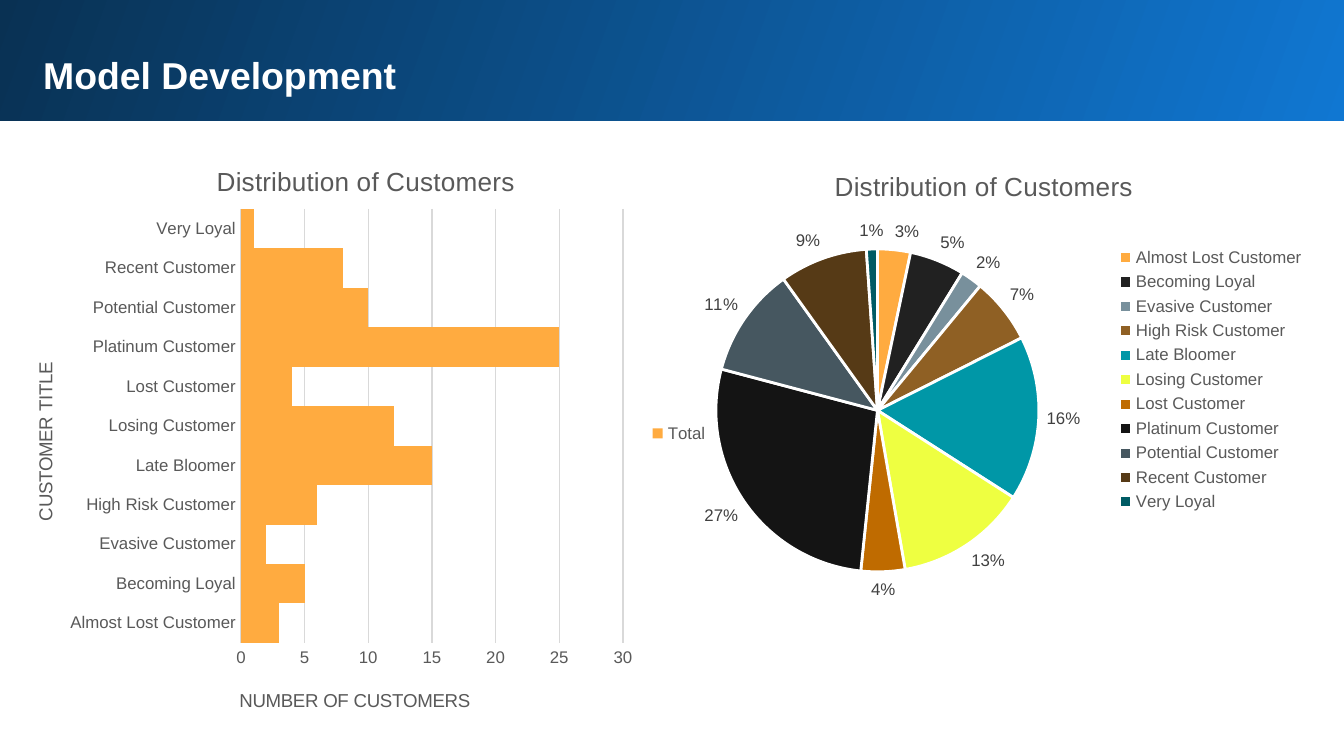
import pptx
import pptx.util
import pptx.chart.data
import pptx.dml.color
import pptx.enum.chart
import pptx.enum.shapes
import pptx.oxml
import pptx.oxml.ns

RGBColor = pptx.dml.color.RGBColor
Pt = pptx.util.Pt
qn = pptx.oxml.ns.qn

# Content
TITLE = "Model Development"
CHART_TITLE = "Distribution of Customers"
CATEGORY_TITLE = "CUSTOMER TITLE"
VALUE_TITLE = "NUMBER OF CUSTOMERS"
CUSTOMERS = [
    ("Almost Lost Customer", 3, RGBColor(0xFF, 0xAB, 0x40)),
    ("Becoming Loyal", 5, RGBColor(0x21, 0x21, 0x21)),
    ("Evasive Customer", 2, RGBColor(0x78, 0x90, 0x9C)),
    ("High Risk Customer", 6, RGBColor(0x8F, 0x60, 0x24)),
    ("Late Bloomer", 15, RGBColor(0x00, 0x97, 0xA7)),
    ("Losing Customer", 12, RGBColor(0xEE, 0xFF, 0x41)),
    ("Lost Customer", 4, RGBColor(0xBF, 0x6B, 0x00)),
    ("Platinum Customer", 25, RGBColor(0x14, 0x14, 0x14)),
    ("Potential Customer", 10, RGBColor(0x46, 0x57, 0x60)),
    ("Recent Customer", 8, RGBColor(0x56, 0x3A, 0x16)),
    ("Very Loyal", 1, RGBColor(0x00, 0x5B, 0x64)),
]
WHITE = RGBColor(0xFF, 0xFF, 0xFF)
GREY = RGBColor(0x59, 0x59, 0x59)
DARK_GREY = RGBColor(0x40, 0x40, 0x40)
GRID = RGBColor(0xD9, 0xD9, 0xD9)
BAR = CUSTOMERS[0][2]
BANNER_STOPS = [RGBColor(0x10, 0x77, 0xD2), RGBColor(0x09, 0x31, 0x53)]

# Places in pixels: left, top, width, height
SLIDE = (1344, 756)
BANNER = (-3, -3, 1351, 124)
HEADING = (30, 39, 1259, 69)
BAR_FRAME = (0, 133, 722, 601)
PIE_FRAME = (644, 141, 672, 478)

HEADING_FONT = {"name": "Arial", "size": Pt(20), "bold": True}
TITLE_FONT = {"name": "Arial", "size": Pt(14), "bold": False}
AXIS_TITLE_FONT = {"name": "Arial", "size": Pt(10), "bold": False}
LABEL_FONT = {"name": "Arial", "size": Pt(9), "bold": False}


def emu(pixels):
    return round(pixels * 914400 / 134.4)


def box(place):
    return [emu(length) for length in place]


def style(font, values, color):
    for name, value in values.items():
        setattr(font, name, value)
    font.color.rgb = color


def write(text_frame, text, values, color):
    run = text_frame.paragraphs[0].add_run()
    run.text = text
    style(run.font, values, color)


def place_part(element, frame, place, after=None, inner=False):
    """Set a manual layout, given in slide pixels, on one part of a chart."""
    for old in element.findall(qn("c:layout")):
        element.remove(old)
    left, top, width, height = frame
    values = {"xMode": "edge", "yMode": "edge",
              "x": round((place[0] - left) / width, 4),
              "y": round((place[1] - top) / height, 4)}
    if inner:
        values = {"layoutTarget": "inner", **values}
    if len(place) == 4:
        values["w"] = round(place[2] / width, 4)
        values["h"] = round(place[3] / height, 4)
    layout = pptx.oxml.parse_xml(
        '<c:layout xmlns:c="http://schemas.openxmlformats.org/drawingml/2006/chart">'
        "<c:manualLayout>"
        + "".join(f'<c:{key} val="{value}"/>' for key, value in values.items())
        + "</c:manualLayout></c:layout>")
    if after:
        element.find(qn(after)).addnext(layout)
    else:
        element.insert(0, layout)


def add_chart(kind, series_name, frame, title_at, plot_at, legend_at):
    data = pptx.chart.data.CategoryChartData()
    data.categories = [name for name, count, color in CUSTOMERS]
    data.add_series(series_name, [count for name, count, color in CUSTOMERS])
    chart = slide.shapes.add_chart(kind, *box(frame), data).chart
    style(chart.font, LABEL_FONT, GREY)
    chart.has_title = True
    write(chart.chart_title.text_frame, CHART_TITLE, TITLE_FONT, GREY)
    place_part(chart.chart_title._element, frame, title_at, "c:tx")
    chart.has_legend = True
    chart.legend.position = pptx.enum.chart.XL_LEGEND_POSITION.RIGHT
    chart.legend.include_in_layout = False
    style(chart.legend.font, LABEL_FONT, GREY)
    place_part(chart.legend._element, frame, legend_at, "c:legendPos")
    plot_area = chart._chartSpace.find(qn("c:chart")).find(qn("c:plotArea"))
    place_part(plot_area, frame, plot_at, inner=True)
    return chart


presentation = pptx.Presentation()
presentation.slide_width, presentation.slide_height = box(SLIDE)
slide = presentation.slides.add_slide(presentation.slide_layouts[6])

# Banner and heading
banner = slide.shapes.add_shape(
    pptx.enum.shapes.MSO_SHAPE.RECTANGLE, *box(BANNER))
banner.shadow.inherit = False
banner.line.fill.background()
banner.fill.gradient()
banner.fill.gradient_angle = 160
for position, (stop, color) in enumerate(
        zip(banner.fill.gradient_stops, BANNER_STOPS)):
    stop.position = position
    stop.color.rgb = color

heading = slide.shapes.add_textbox(*box(HEADING)).text_frame
heading.word_wrap = True
for side in ("left", "top", "right", "bottom"):
    setattr(heading, f"margin_{side}", pptx.util.Inches(0.1))
write(heading, TITLE, HEADING_FONT, WHITE)

# Bar chart
bar_chart = add_chart(
    pptx.enum.chart.XL_CHART_TYPE.BAR_CLUSTERED, "Total", BAR_FRAME,
    (212, 160), (241, 209, 382, 434), (648, 421, 62, 25))
bar_plot = bar_chart.plots[0]
bar_plot.gap_width = 0
bar_plot.vary_by_categories = False
bar_plot.series[0].format.fill.solid()
bar_plot.series[0].format.fill.fore_color.rgb = BAR

category_axis, value_axis = bar_chart.category_axis, bar_chart.value_axis
for axis, text, title_at in [(category_axis, CATEGORY_TITLE, (30, 359)),
                             (value_axis, VALUE_TITLE, (236, 685))]:
    axis.major_tick_mark = pptx.enum.chart.XL_TICK_MARK.NONE
    axis.minor_tick_mark = pptx.enum.chart.XL_TICK_MARK.NONE
    style(axis.tick_labels.font, LABEL_FONT, GREY)
    write(axis.axis_title.text_frame, text, AXIS_TITLE_FONT, GREY)
    place_part(axis.axis_title._element, BAR_FRAME, title_at, "c:tx")
category_axis.axis_title.text_frame._txBody.bodyPr.set("rot", "-5400000")
category_axis.has_major_gridlines = False
value_axis.has_major_gridlines = True
value_axis.minimum_scale, value_axis.maximum_scale = 0, 30
value_axis.major_unit = 5
value_axis.format.line.fill.background()
for line in (category_axis.format.line, value_axis.major_gridlines.format.line):
    line.color.rgb = GRID
    line.width = Pt(0.75)

# Pie chart
pie_chart = add_chart(
    pptx.enum.chart.XL_CHART_TYPE.PIE, "Series 1", PIE_FRAME,
    (830, 165), (716, 249, 323, 323), (1114, 243, 194, 274))
pie_plot = pie_chart.plots[0]
pie_plot.vary_by_categories = True
for index, (name, count, color) in enumerate(CUSTOMERS):
    slice_format = pie_plot.series[0].points[index].format
    slice_format.fill.solid()
    slice_format.fill.fore_color.rgb = color
    slice_format.line.color.rgb = WHITE
    slice_format.line.width = Pt(1.5)
labels = pie_plot.series[0].data_labels
for name, value in {
    "show_percentage": True,
    "show_value": False,
    "number_format": "0%",
    "number_format_is_linked": False,
    "position": pptx.enum.chart.XL_LABEL_POSITION.OUTSIDE_END,
}.items():
    setattr(labels, name, value)
style(labels.font, LABEL_FONT, DARK_GREY)

presentation.save("out.pptx")
